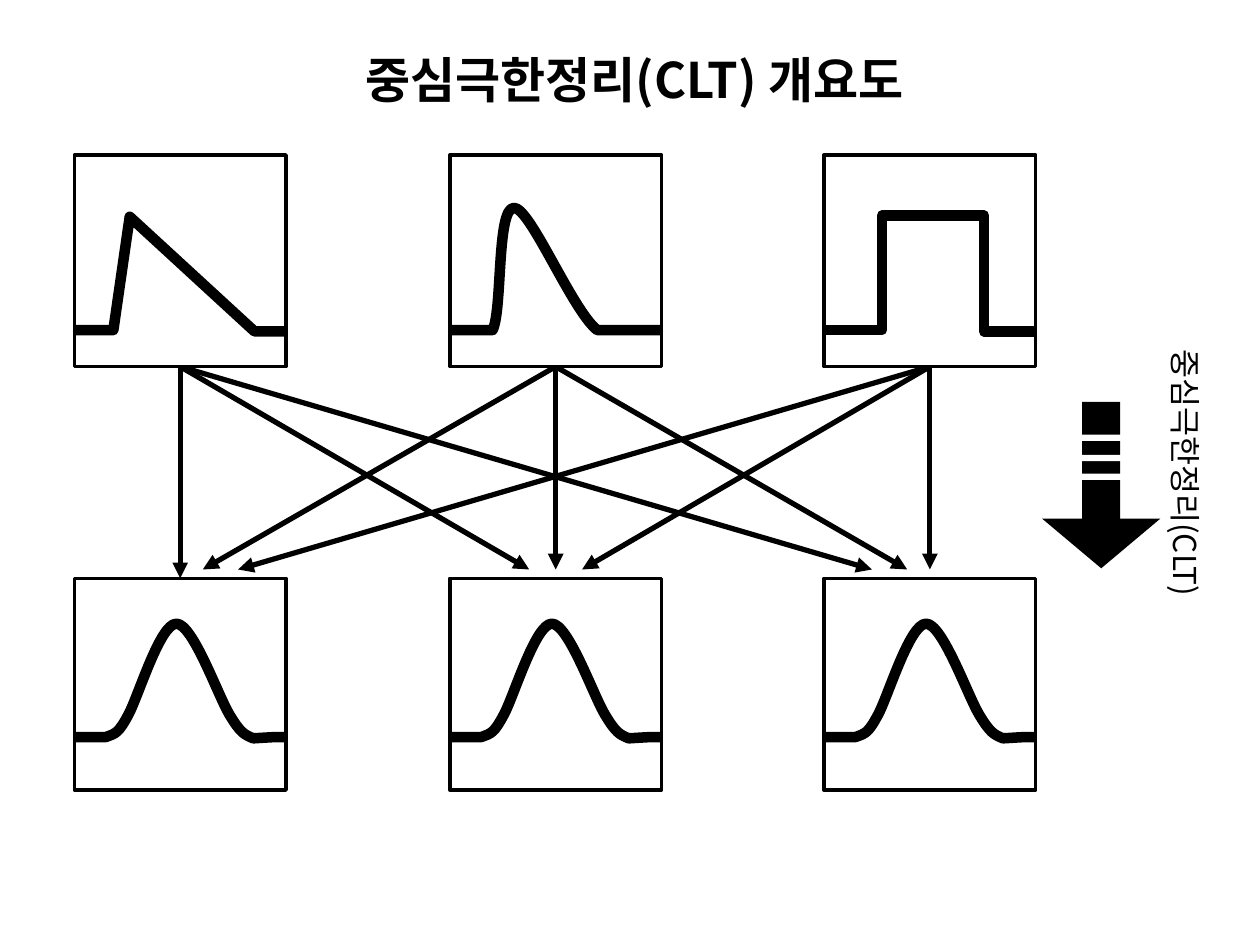
from lxml.etree import SubElement
from pptx import Presentation
from pptx.dml.color import RGBColor
from pptx.enum.shapes import MSO_CONNECTOR as Connector, MSO_SHAPE as Shape
from pptx.enum.text import MSO_ANCHOR as Anchor, MSO_AUTO_SIZE as AutoSize, PP_ALIGN as Align
from pptx.oxml.ns import qn
from pptx.util import Inches, Pt

COLORS = {"ink": "000000", "paper": "FFFFFF"}
FONT = "Noto Sans CJK KR"
SIDE = 1.68
LEFTS = (0.59, 3.57, 6.54)
TOP_ROW, BOTTOM_ROW = 1.23, 4.59

# Outlines relative to their panel: (x, y) is a line, six numbers are a cubic curve.
TRIANGLE = [(0, 1.39), (0.31, 1.39), (0.44, 0.49), (1.43, 1.4), (1.67, 1.4)]
SKEWED = [(0, 1.39), (0.34, 1.39), (0.42, 1.23, 0.37, 0.42, 0.51, 0.42),
          (0.64, 0.42, 0.97, 1.23, 1.17, 1.39), (1.67, 1.39)]
UNIFORM = [(0, 1.39), (0.46, 1.39), (0.46, 0.48), (1.27, 0.48), (1.27, 1.4), (1.68, 1.4)]
BELL = [(0, 1.26), (0.25, 1.26), (0.33, 1.23, 0.35, 1.23, 0.43, 1.08),
        (0.51, 0.93, 0.68, 0.36, 0.81, 0.36), (0.94, 0.36, 1.14, 0.93, 1.23, 1.08),
        (1.32, 1.23, 1.35, 1.24, 1.42, 1.27), (1.59, 1.26, 1.57, 1.26, 1.68, 1.26)]


def draw_outline(shapes, left, top, segments):
    """Draw lines through all points, then join each curve's three lines into one cubic."""
    points = [(Inches(left + segment[i]), Inches(top + segment[i + 1]))
              for segment in segments for i in range(0, len(segment), 2)]
    builder = shapes.build_freeform(*points[0])
    builder.add_line_segments(points[1:], close=False)
    curve = builder.convert_to_shape()
    lines = iter(list(curve._element.spPr.iter(qn("a:lnTo"))))
    for segment in segments[1:]:
        first = next(lines)
        if len(segment) == 6:
            cubic = first.getparent().makeelement(qn("a:cubicBezTo"))
            first.addprevious(cubic)
            for line in (first, next(lines), next(lines)):
                cubic.append(line[0])
                line.getparent().remove(line)
    return curve


def write(box, text, size, bold, align):
    frame = box.text_frame
    frame.text = text
    frame.word_wrap = False
    frame.auto_size = AutoSize.SHAPE_TO_FIT_TEXT
    para = frame.paragraphs[0]
    para.alignment = align
    font = para.runs[0].font
    font.size, font.bold, font.name = Pt(size), bold, FONT
    font.color.rgb = RGBColor.from_string(COLORS["ink"])
    SubElement(para.runs[0]._r.get_or_add_rPr(), qn("a:ea"), typeface=FONT)


deck = Presentation()
deck.slide_width, deck.slide_height = Inches(10), Inches(7.5)
page = deck.slides.add_slide(deck.slide_layouts[5])
shapes = page.shapes
ink = RGBColor.from_string(COLORS["ink"])
paper = RGBColor.from_string(COLORS["paper"])

title = shapes.title
title.left, title.top, title.width, title.height = map(Inches, (2.63, 0.34, 4.81, 0.57))
write(title, "중심극한정리(CLT) 개요도", 28, True, Align.CENTER)
title.text_frame.vertical_anchor = Anchor.TOP

# Every population leads to every sampling distribution
centers = [left + SIDE / 2 for left in LEFTS]
for source, start in enumerate(centers):
    for target, end in enumerate(centers):
        gap = source - target
        spread = (0, 0.21 if target == 1 else 0.18, 0.46)[abs(gap)]
        shift = spread if gap > 0 else -spread
        bottom = BOTTOM_ROW if source == target == 0 else 4.52
        arrow = shapes.add_connector(Connector.STRAIGHT, Inches(start), Inches(TOP_ROW + SIDE),
                                     Inches(end + shift), Inches(bottom))
        arrow.line.color.rgb = ink
        arrow.line.width = Pt(3)
        SubElement(arrow.line._get_or_add_ln(), qn("a:tailEnd"), type="triangle")
        SubElement(arrow._element.spPr, qn("a:effectLst"))

# Two rows of panels
for top in (TOP_ROW, BOTTOM_ROW):
    for left in LEFTS:
        panel = shapes.add_shape(Shape.RECTANGLE, Inches(left), Inches(top),
                                 Inches(SIDE), Inches(SIDE))
        panel.shadow.inherit = False
        panel.fill.solid()
        panel.fill.fore_color.rgb = paper
        panel.line.color.rgb = ink
        panel.line.width = Pt(2)

# Density curves
for top, outlines in ((TOP_ROW, (TRIANGLE, SKEWED, UNIFORM)), (BOTTOM_ROW, (BELL,) * 3)):
    for left, outline in zip(LEFTS, outlines):
        curve = draw_outline(shapes, left, top, outline)
        curve.shadow.inherit = False
        curve.fill.background()
        curve.line.color.rgb = ink
        curve.line.width = Pt(6)
        SubElement(curve.line._get_or_add_ln(), qn("a:round"))

# Block arrow cut by three white stripes
block_arrow = shapes.add_shape(Shape.DOWN_ARROW, Inches(8.27), Inches(3.19),
                               Inches(0.94), Inches(1.32))
block_arrow.adjustments[0], block_arrow.adjustments[1] = 0.32, 0.42
stripes = [shapes.add_shape(Shape.RECTANGLE, Inches(8.42), Inches(top), Inches(0.63), Inches(0.05))
           for top in (3.76, 3.61, 3.45)]
for shape, color in [(block_arrow, ink)] + [(stripe, paper) for stripe in stripes]:
    shape.shadow.inherit = False
    shape.fill.solid()
    shape.fill.fore_color.rgb = color
    shape.line.fill.background()

side_label = shapes.add_textbox(Inches(8.28), Inches(3.61), Inches(2.27), Inches(0.4))
side_label.rotation = 90
write(side_label, "중심극한정리(CLT)", 18, False, Align.LEFT)

deck.save("out.pptx")
